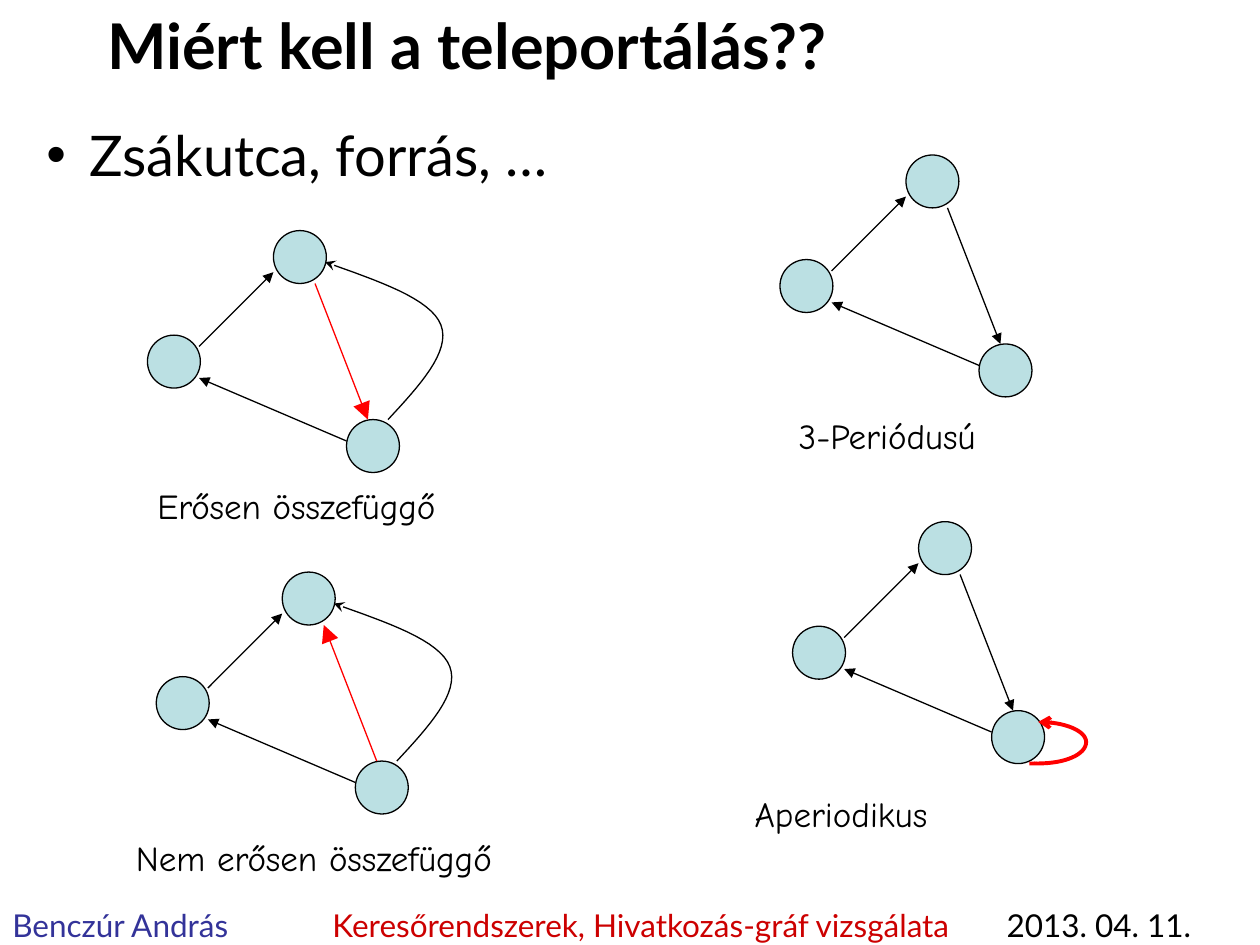
import pptx
import pptx.dml.color
import pptx.enum.shapes
import pptx.enum.text
import pptx.oxml
import pptx.oxml.ns
import pptx.util

Inches = pptx.util.Inches
NODES = [(0, 0.83), (1, 0), (1.58, 1.5)]
EDGES = [((0.41, 0.92), (1, 0.33)), ((1.58, 1.67), (0.41, 1.17))]
DOWN = ((1.33, 0.42), (1.75, 1.5))
ARC = [(1.91, 1.5), (2.16, 1.23), (2.41, 0.96), (2.33, 0.75),
       (2.25, 0.54), (1.83, 0.4), (1.41, 0.25)]
LOOP = [(1.88, 1.92), (1.9, 1.92), (1.93, 1.92), (1.95, 1.92), (2.16, 1.92),
        (2.33, 1.85), (2.33, 1.75), (2.33, 1.66), (2.16, 1.59), (1.95, 1.59)]
BLACK, RED = "000000", "FF0000"


def rgb(value):
    return pptx.dml.color.RGBColor.from_string(value)


def add_xml(parent, tag, content="", **attributes):
    pairs = "".join(f' {name}="{value}"' for name, value in attributes.items())
    namespace = pptx.oxml.ns.nsdecls("a")
    parent.append(pptx.oxml.parse_xml(f"<a:{tag} {namespace}{pairs}>{content}</a:{tag}>"))


def bezier_points(controls, steps=16):
    points = [controls[0]]
    for start in range(0, len(controls) - 1, 3):
        segment = controls[start:start + 4]
        for step in range(1, steps + 1):
            t = step / steps
            weights = ((1 - t) ** 3, 3 * t * (1 - t) ** 2, 3 * t * t * (1 - t), t ** 3)
            points.append(tuple(sum(w * p[axis] for w, p in zip(weights, segment))
                                for axis in (0, 1)))
    return points


class SlideBuilder:
    """Holds the style and the current slide, and draws each kind of element."""

    fonts = {"heading": "Lato", "label": "Comic Neue"}
    node_fill = "BBE0E3"
    node_size = 0.42

    def __init__(self, deck):
        self.slide = deck.slides.add_slide(deck.slide_layouts[5])

    def fill_text(self, box, spans, size, font="heading", bold=False, anchor="TOP"):
        frame = box.text_frame
        settings = {"word_wrap": True, "auto_size": pptx.enum.text.MSO_AUTO_SIZE.NONE,
                    "vertical_anchor": pptx.enum.text.MSO_ANCHOR[anchor]}
        for name, value in settings.items():
            setattr(frame, name, value)
        para = frame.paragraphs[0]
        para.alignment = pptx.enum.text.PP_ALIGN.LEFT
        style = {"name": self.fonts[font], "size": pptx.util.Pt(size), "bold": bold}
        for text, color in spans:
            span = para.add_run()
            span.text = text
            for name, value in style.items():
                setattr(span.font, name, value)
            span.font.color.rgb = rgb(color)
        return para

    def title(self, text, *place):
        box = self.slide.shapes.title
        for name, value in zip(("left", "top", "width", "height"), place):
            setattr(box, name, Inches(value))
        self.fill_text(box, [(text, BLACK)], 36, bold=True, anchor="MIDDLE")

    def text(self, place, spans, size, font="heading"):
        box = self.slide.shapes.add_textbox(*map(Inches, place))
        return self.fill_text(box, spans, size, font)

    def bullet(self, place, text):
        para = self.text(place, [(text, BLACK)], 32)
        para.space_before = pptx.util.Pt(6.4)
        properties = para._p.get_or_add_pPr()
        properties.set("marL", str(Inches(0.34)))
        properties.set("indent", str(Inches(-0.34)))
        add_xml(properties, "buFont", typeface="Arial")
        add_xml(properties, "buChar", char="•")

    def footer(self, place, spans, stops):
        para = self.text(place, spans, 18)
        tabs = "".join(f'<a:tab pos="{Inches(stop)}" algn="l"/>' for stop in stops)
        add_xml(para._p.get_or_add_pPr(), "tabLst", tabs)

    def node(self, left, top):
        size = Inches(self.node_size)
        circle = self.slide.shapes.add_shape(
            pptx.enum.shapes.MSO_SHAPE.OVAL, Inches(left), Inches(top), size, size)
        circle.shadow.inherit = False
        circle.fill.solid()
        circle.fill.fore_color.rgb = rgb(self.node_fill)
        self.outline(circle, BLACK)

    def outline(self, shape, color, width=0.75):
        shape.line.color.rgb = rgb(color)
        shape.line.width = pptx.util.Pt(width)

    def arrowhead(self, shape, kind, size="med"):
        line = shape._element.spPr.find(pptx.oxml.ns.qn("a:ln"))
        add_xml(line, "tailEnd", type=kind, w=size, len=size)

    def arrow(self, start, end, color=BLACK):
        line = self.slide.shapes.add_connector(
            pptx.enum.shapes.MSO_CONNECTOR.STRAIGHT, *map(Inches, start + end))
        self.outline(line, color)
        self.arrowhead(line, "triangle", "lg" if color == RED else "med")
        add_xml(line._element.spPr, "effectLst")

    def curve(self, controls, color, width, head):
        first, *rest = [tuple(map(Inches, point)) for point in bezier_points(controls)]
        builder = self.slide.shapes.build_freeform(*first)
        builder.add_line_segments(rest, close=False)
        shape = builder.convert_to_shape()
        shape.shadow.inherit = False
        shape.fill.background()
        self.outline(shape, color, width)
        self.arrowhead(shape, head)

    def graph(self, origin, middle, color=BLACK, curve=None):
        def move(points):
            return [(origin[0] + x, origin[1] + y) for x, y in points]

        for place in move(NODES):
            self.node(*place)
        for edge in EDGES:
            self.arrow(*move(edge))
        self.arrow(*move(middle), color)
        if curve:
            self.curve(move(curve[0]), *curve[1:])

    def label(self, place, text):
        self.text(place, [(text, BLACK)], 20, "label")


def main():
    deck = pptx.Presentation()
    deck.slide_width, deck.slide_height = Inches(10), Inches(7.5)
    page = SlideBuilder(deck)
    page.footer((0, 7.14, 10, 0.4),
                [("Benczúr András\t", "333399"),
                 ("Keresőrendszerek, Hivatkozás-gráf vizsgálata\t", "CC0000"),
                 ("2013. 04. 11.", BLACK)], (2.54, 7.89))
    page.title("Miért kell a teleportálás??", 0.75, 0, 8.5, 0.71)
    page.bullet((0.27, 0.91, 9.45, 6.14), "Zsákutca, forrás, …")

    arc = (ARC, BLACK, 0.75, "stealth")
    page.graph((1.17, 1.83), DOWN, RED, arc)
    page.graph((1.24, 4.54), DOWN[::-1], RED, arc)
    page.graph((6.19, 1.23), DOWN)
    page.graph((6.29, 4.14), DOWN, curve=(LOOP, RED, 2.25, "arrow"))

    page.label((1.15, 3.8, 2.91, 0.44), "Erősen összefüggő")
    page.label((0.98, 6.59, 4.09, 0.44), "Nem erősen összefüggő")
    page.label((6.24, 3.24, 3.17, 0.44), "3-Periódusú")
    page.label((5.39, 6.24, 3.75, 0.44), "\tAperiodikus")
    deck.save("out.pptx")


if __name__ == "__main__":
    main()
